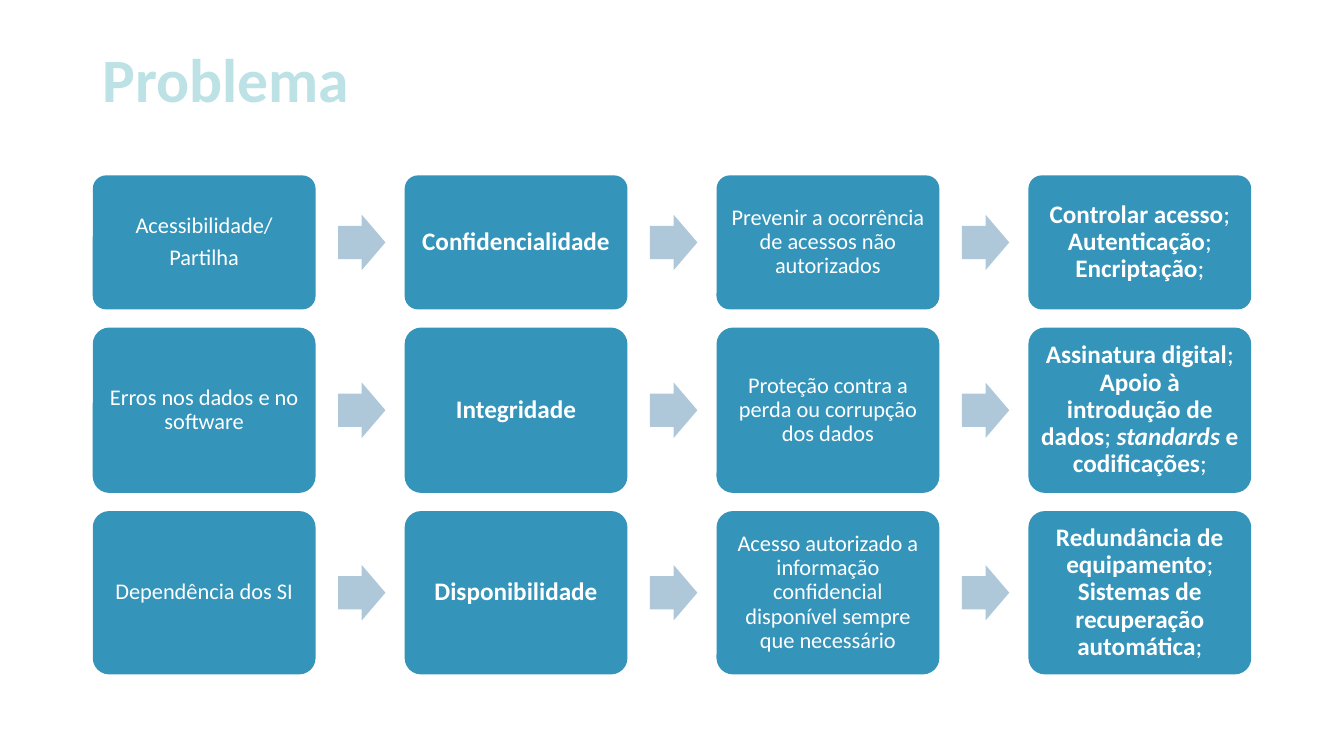
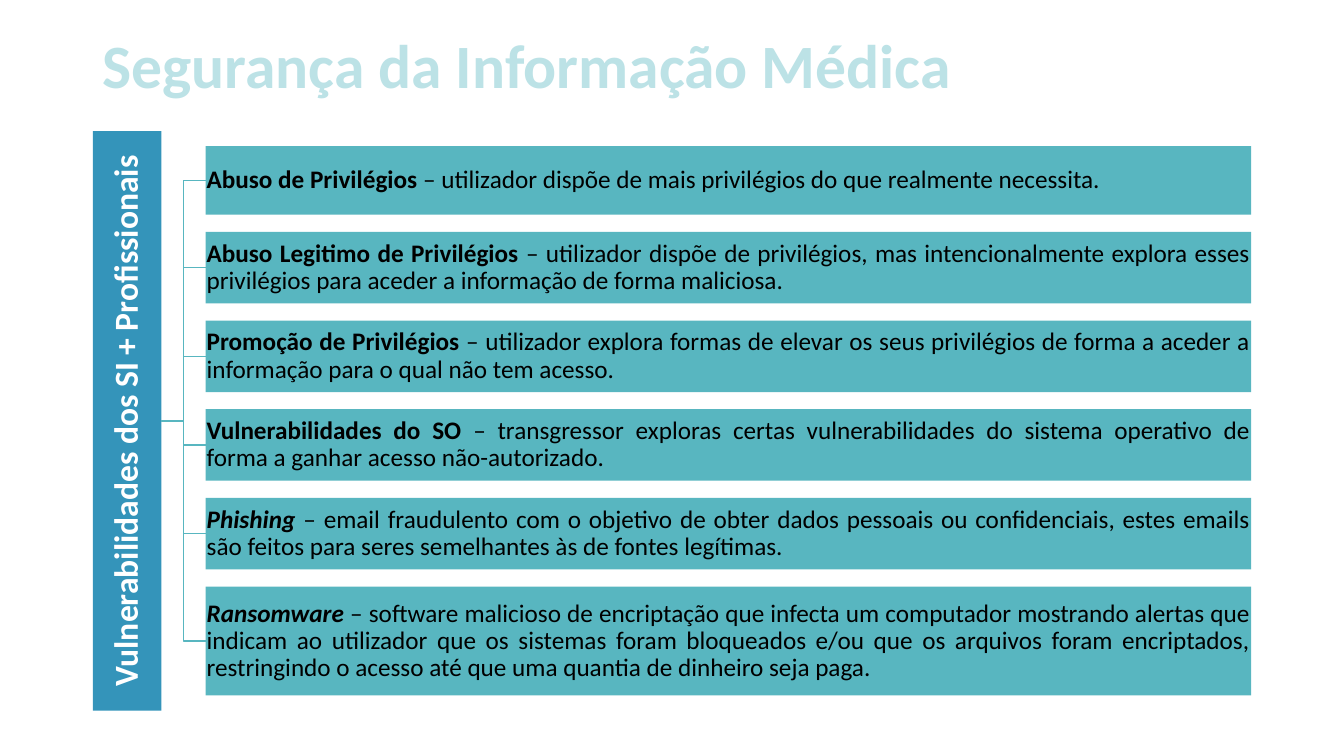
from dataclasses import dataclass
from typing import NamedTuple

from lxml.etree import SubElement
from pptx import Presentation
from pptx.dml.color import RGBColor
from pptx.enum.shapes import MSO_CONNECTOR as Connector, MSO_SHAPE as Shape
from pptx.enum.text import MSO_ANCHOR as Anchor, PP_ALIGN as Align
from pptx.oxml.ns import qn
from pptx.util import Inches, Pt


@dataclass(frozen=True)
class Theme:
    font: str = "Calibri"
    title: str = "BCE2E6"
    blue: str = "3494BA"
    teal: str = "58B6C0"
    arrow: str = "AEC8D9"
    white: str = "FFFFFF"
    black: str = "000000"
    title_size: int = 44
    bar_size: int = 24
    strong_size: int = 18
    body_size: int = 16


THEME = Theme()
LEFT, CONTENT_W = 0.92, 11.49


class Span(NamedTuple):
    text: str
    bold: bool = False
    italic: bool = False


class Box(NamedTuple):
    left: float
    top: float
    width: float
    height: float


@dataclass(frozen=True)
class ProblemRow:
    height: float
    problem: tuple[str, ...]
    property: str
    goal: str
    measures: tuple[Span, ...]


@dataclass(frozen=True)
class Threat:
    height: float
    name: str
    description: str
    italic: bool = False


SEMICOLON = Span("; ")
END = Span(";")

PROBLEM_ROWS = (
    ProblemRow(
        1.33, ("Acessibilidade/", "Partilha"), "Conﬁdencialidade",
        "Prevenir a ocorrência de acessos não autorizados",
        (Span("Controlar acesso", True), SEMICOLON, Span("Autenticação", True),
         SEMICOLON, Span("Encriptação", True), END)),
    ProblemRow(
        1.64, ("Erros nos dados e no software",), "Integridade",
        "Proteção contra a perda ou corrupção dos dados",
        (Span("Assinatura digital", True), SEMICOLON,
         Span("Apoio à introdução de dados", True), SEMICOLON,
         Span("standards", True, True), Span(" e codificações", True), END)),
    ProblemRow(
        1.62, ("Dependência dos SI",), "Disponibilidade",
        "Acesso autorizado a informação conﬁdencial disponível sempre que necessário",
        (Span("Redundância de equipamento", True), SEMICOLON,
         Span("Sistemas de recuperação automática", True), END)),
)

THREATS = (
    Threat(0.68, "Abuso de Privilégios",
           "utilizador dispõe de mais privilégios do que realmente necessita."),
    Threat(0.71, "Abuso Legitimo de Privilégios",
           "utilizador dispõe de privilégios, mas intencionalmente explora esses "
           "privilégios para aceder a informação de forma maliciosa."),
    Threat(0.71, "Promoção de Privilégios",
           "utilizador explora formas de elevar os seus privilégios de forma a "
           "aceder a informação para o qual não tem acesso."),
    Threat(0.71, "Vulnerabilidades do SO",
           "transgressor exploras certas vulnerabilidades do sistema operativo de "
           "forma a ganhar acesso não-autorizado."),
    Threat(0.71, "Phishing",
           "email fraudulento com o objetivo de obter dados pessoais ou "
           "conﬁdenciais, estes emails são feitos para seres semelhantes às de "
           "fontes legítimas.", italic=True),
    Threat(1.08, "Ransomware",
           "software malicioso de encriptação que infecta um computador mostrando "
           "alertas que indicam ao utilizador que os sistemas foram bloqueados e/ou "
           "que os arquivos foram encriptados, restringindo o acesso até que uma "
           "quantia de dinheiro seja paga.", italic=True),
)


def rgb(color: str) -> RGBColor:
    return RGBColor.from_string(color)


def lengths(box: Box) -> list[Inches]:
    return [Inches(value) for value in box]


def write(sp, *paragraphs: tuple[Span, ...], size: int, color: str,
          align: Align = Align.CENTER, inset: float = 0.07) -> None:
    """Fill a shape with middle-anchored paragraphs of formatted spans."""
    tf = sp.text_frame
    tf.word_wrap = True
    tf.vertical_anchor = Anchor.MIDDLE
    tf.margin_left = tf.margin_right = Inches(inset)
    tf.margin_top = tf.margin_bottom = Inches(inset)
    for i, spans in enumerate(paragraphs):
        p = tf.add_paragraph() if i else tf.paragraphs[0]
        p.alignment = align
        p.line_spacing = 0.9
        p.space_after = Pt(round(size * 0.35, 1))
        for span in spans:
            r = p.add_run()
            r.text = span.text
            r.font.name = THEME.font
            r.font.size = Pt(size)
            r.font.bold = span.bold
            r.font.italic = span.italic
            r.font.color.rgb = rgb(color)


def add_block(slide, kind: Shape, box: Box, color: str,
              adjustments: tuple[float, ...] = ()):
    sp = slide.shapes.add_shape(kind, *lengths(box))
    sp.shadow.inherit = False
    sp.fill.solid()
    sp.fill.fore_color.rgb = rgb(color)
    sp.line.fill.background()
    for i, value in enumerate(adjustments):
        sp.adjustments[i] = value
    return sp


def add_elbow(slide, start, end) -> None:
    """Join the right side of start to the left side of end."""
    line = slide.shapes.add_connector(Connector.ELBOW, 0, 0, 0, 0)
    line.begin_connect(start, 3)
    line.end_connect(end, 1)
    line.line.color.rgb = rgb(THEME.teal)
    line.line.width = Pt(1)
    SubElement(line._element.spPr, qn("a:effectLst"))


def add_titled_slide(prs, title: str, top: float, height: float):
    slide = prs.slides.add_slide(prs.slide_layouts[6])
    sp = slide.shapes.add_textbox(*lengths(Box(LEFT, top, 11.5, height)))
    write(sp, (Span(title, True),), size=THEME.title_size, color=THEME.title,
          align=Align.LEFT, inset=0.1)
    return slide


def build_problem(prs) -> None:
    slide = add_titled_slide(prs, "Problema", 0.3, 1.04)
    card_w, arrow_w, arrow_h, row_gap = 2.21, 0.47, 0.55, 0.18
    pitch = (CONTENT_W - card_w) / 3
    top = 1.74
    for row in PROBLEM_ROWS:
        cards = (
            (THEME.body_size, [(Span(line),) for line in row.problem]),
            (THEME.strong_size, [(Span(row.property, True),)]),
            (THEME.body_size, [(Span(row.goal),)]),
            (THEME.strong_size, [row.measures]),
        )
        for column, (size, paragraphs) in enumerate(cards):
            left = LEFT + column * pitch
            if column:
                arrow = Box(left - 0.66, top + (row.height - arrow_h) / 2,
                            arrow_w, arrow_h)
                add_block(slide, Shape.RIGHT_ARROW, arrow, THEME.arrow, (0.6, 0.5))
            card = add_block(slide, Shape.ROUNDED_RECTANGLE,
                             Box(left, top, card_w, row.height), THEME.blue, (0.1,))
            write(card, *paragraphs, size=size, color=THEME.white)
        top += row.height + row_gap


def build_threats(prs) -> None:
    slide = add_titled_slide(prs, "Segurança da Informação Médica", 0.25, 0.85)
    bar = add_block(slide, Shape.RECTANGLE, Box(LEFT, 1.3, 0.68, 5.75), THEME.blue)
    write(bar, (Span("Vulnerabilidades dos SI + Proﬁssionais", True),),
          size=THEME.bar_size, color=THEME.white, inset=0.02)
    bar.text_frame._txBody.bodyPr.set("vert", "vert270")

    left, top, gap = 2.04, 1.45, 0.17
    for threat in THREATS:
        box = Box(left, top, LEFT + CONTENT_W - left, threat.height)
        sp = add_block(slide, Shape.RECTANGLE, box, THEME.teal)
        write(sp, (Span(threat.name, True, threat.italic),
                   Span(f" – {threat.description}")),
              size=THEME.strong_size, color=THEME.black,
              align=Align.JUSTIFY, inset=0.01)
        add_elbow(slide, bar, sp)
        top += threat.height + gap


def main() -> None:
    prs = Presentation()
    prs.slide_width, prs.slide_height = Inches(13.33), Inches(7.5)
    build_problem(prs)
    build_threats(prs)
    prs.save("out.pptx")


if __name__ == "__main__":
    main()
